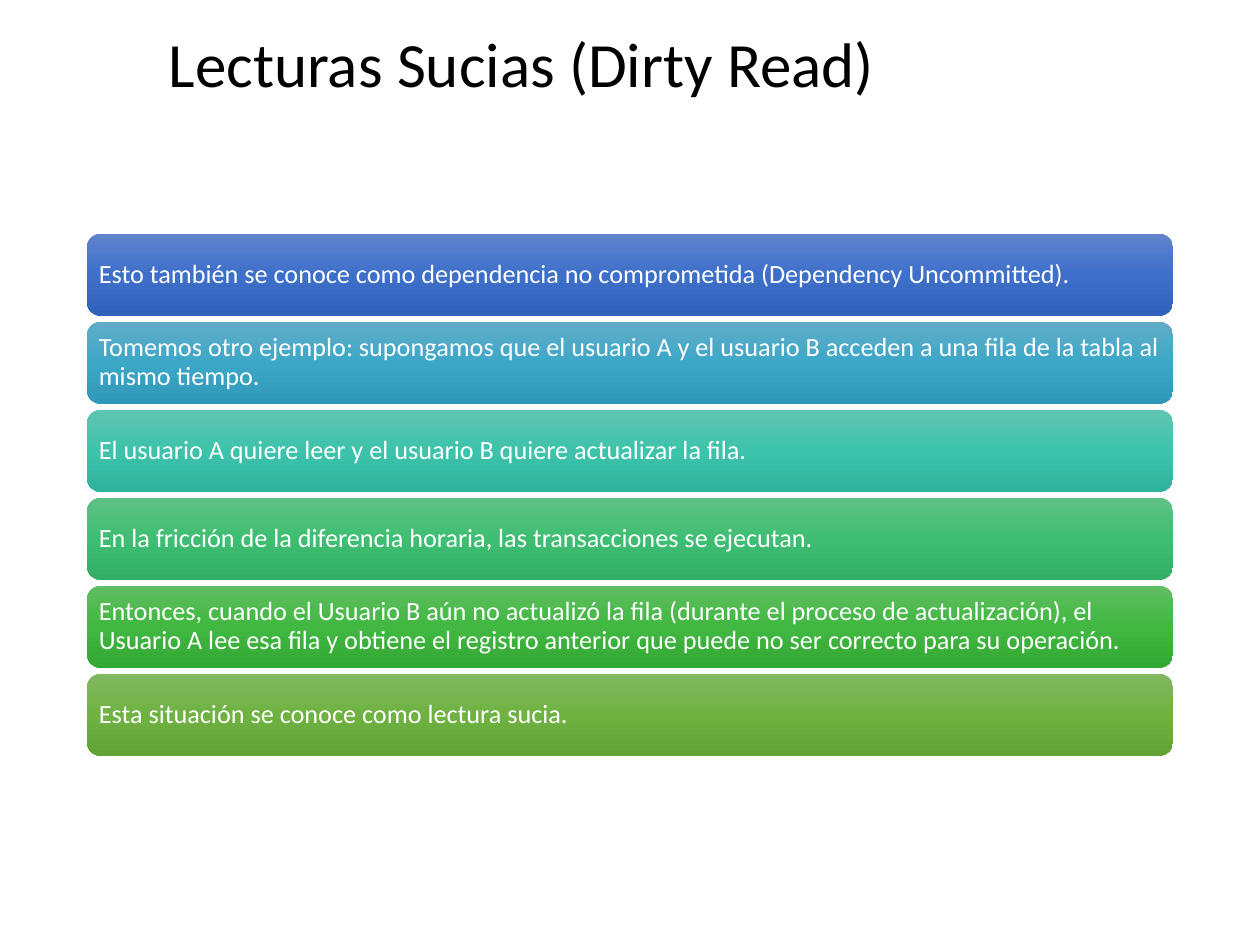
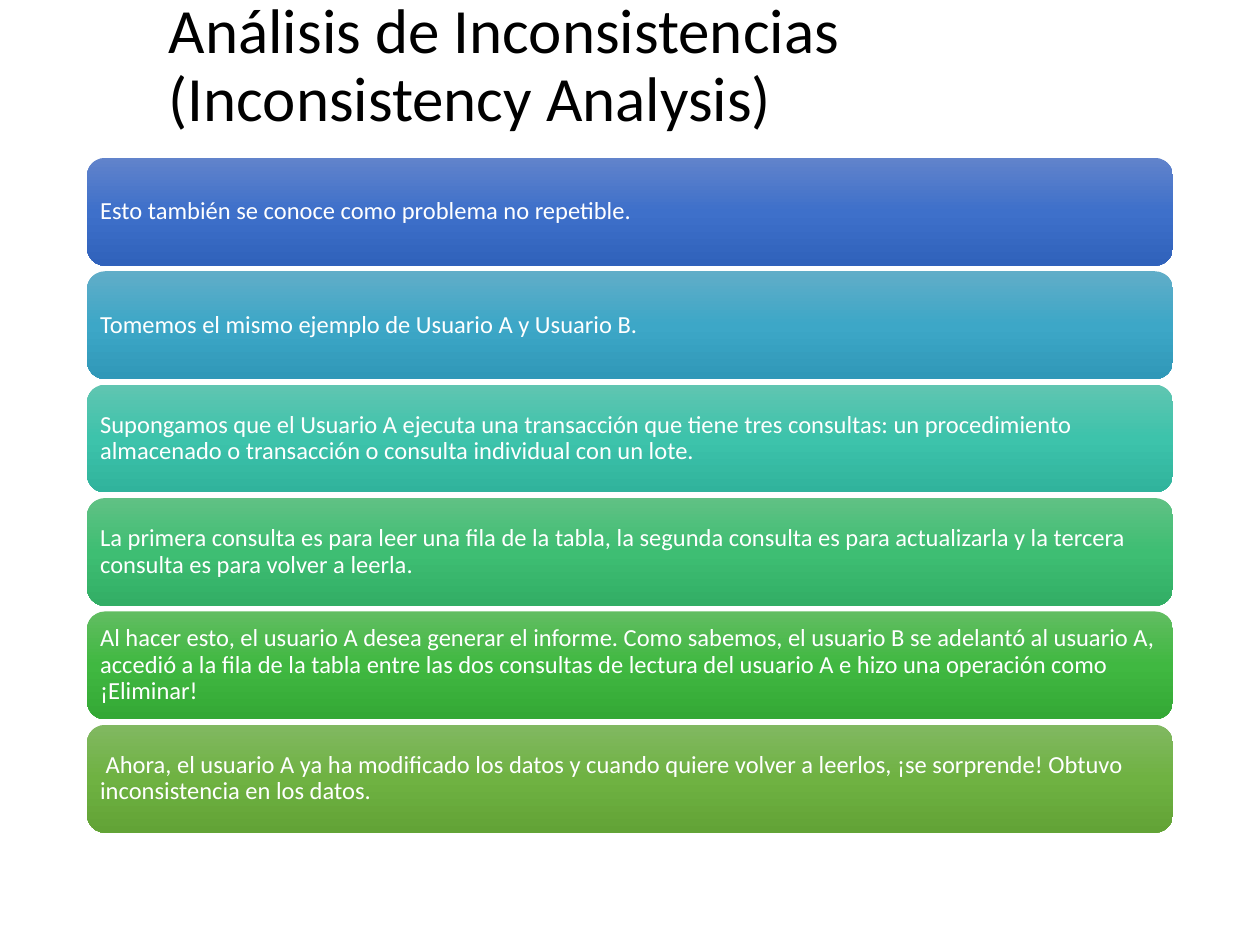
"""Build two slides on database concurrency problems, each a title over six gradient bars."""
from copy import deepcopy

from pptx import Presentation
from pptx.dml.color import RGBColor
from pptx.enum.shapes import MSO_SHAPE
from pptx.enum.text import MSO_ANCHOR, MSO_AUTO_SIZE, PP_ALIGN
from pptx.oxml.ns import qn
from pptx.util import Pt

COLORS = {"title": "000000", "bar_text": "FFFFFF"}
GRADIENTS = {
    "blue": ("6183CB", "3E70CA", "3062BB"),
    "cyan": ("61ADC8", "3DA7C7", "3098B8"),
    "turquoise": ("60C5B1", "3DC3AB", "30B39C"),
    "sea_green": ("60C184", "3EBE73", "32AE65"),
    "green": ("61BD61", "40B841", "34A835"),
    "olive": ("81B861", "6FB242", "62A336"),
}
FONT = "Calibri"
BAR_LEFT, BAR_WIDTH = 49.7, 620.6
FRAME_FORMAT = {
    "word_wrap": True,
    "auto_size": MSO_AUTO_SIZE.NONE,
    "vertical_anchor": MSO_ANCHOR.MIDDLE,
}
BAR_MARGINS = {f"margin_{side}": Pt(4.5) for side in ("left", "top", "right", "bottom")}
PARAGRAPH_FORMAT = {"alignment": PP_ALIGN.LEFT, "line_spacing": 0.9}

SLIDES = [
    {
        "title": "Lecturas Sucias (Dirty Read)",
        "top": 133.5, "height": 46.8, "pitch": 50.3, "size": 15,
        "bars": [
            "Esto también se conoce como dependencia no comprometida (Dependency Uncommitted).",
            "Tomemos otro ejemplo: supongamos que el usuario A y el usuario B acceden "
            "a una fila de la tabla al mismo tiempo.",
            "El usuario A quiere leer y el usuario B quiere actualizar la fila.",
            "En la fricción de la diferencia horaria, las transacciones se ejecutan.",
            "Entonces, cuando el Usuario B aún no actualizó la fila (durante el proceso de "
            "actualización), el Usuario A lee esa fila y obtiene el registro anterior que "
            "puede no ser correcto para su operación.",
            "Esta situación se conoce como lectura sucia.",
        ],
    },
    {
        "title": "Análisis de Inconsistencias (Inconsistency Analysis)",
        "top": 90.2, "height": 61.6, "pitch": 64.8, "size": 14,
        "bars": [
            "Esto también se conoce como problema no repetible.",
            "Tomemos el mismo ejemplo de Usuario A y Usuario B.",
            "Supongamos que el Usuario A ejecuta una transacción que tiene tres consultas: un "
            "procedimiento almacenado o transacción o consulta individual con un lote.",
            "La primera consulta es para leer una fila de la tabla, la segunda consulta es para "
            "actualizarla y la tercera consulta es para volver a leerla.",
            "Al hacer esto, el usuario A desea generar el informe. Como sabemos, el usuario B se "
            "adelantó al usuario A, accedió a la fila de la tabla entre las dos consultas de "
            "lectura del usuario A e hizo una operación como ¡Eliminar!",
            " Ahora, el usuario A ya ha modificado los datos y cuando quiere volver a leerlos, "
            "¡se sorprende! Obtuvo inconsistencia en los datos.",
        ],
    },
]


def write_text(shape, text, size, color, margins):
    frame = shape.text_frame
    frame.text = text
    paragraph = frame.paragraphs[0]
    font = paragraph.runs[0].font
    font.color.rgb = RGBColor.from_string(color)
    for target, values in (
        (frame, FRAME_FORMAT | margins),
        (paragraph, PARAGRAPH_FORMAT),
        (font, {"name": FONT, "size": Pt(size)}),
    ):
        for name, value in values.items():
            setattr(target, name, value)


def fill_gradient(shape, colors):
    shape.fill.gradient()
    shape.fill.gradient_angle = 270
    stop_list = shape._element.spPr.find(".//" + qn("a:gsLst"))
    stop_list.insert(1, deepcopy(stop_list[0]))
    for stop, position, color in zip(shape.fill.gradient_stops, (0, 0.5, 1), colors):
        stop.position = position
        stop.color.rgb = RGBColor.from_string(color)


presentation = Presentation()
presentation.slide_width, presentation.slide_height = Pt(720), Pt(540)
title_only = presentation.slide_layouts[5]

for content in SLIDES:
    slide = presentation.slides.add_slide(title_only)
    title = slide.shapes.title
    title_box = {"left": 89.3, "top": 16.6, "width": 561.6, "height": 43.9}
    for name, value in title_box.items():
        setattr(title, name, Pt(value))
    write_text(title, content["title"], 36, COLORS["title"], {})

    for row, (text, gradient) in enumerate(zip(content["bars"], GRADIENTS.values())):
        bar = slide.shapes.add_shape(
            MSO_SHAPE.ROUNDED_RECTANGLE,
            Pt(BAR_LEFT), Pt(content["top"] + row * content["pitch"]),
            Pt(BAR_WIDTH), Pt(content["height"]),
        )
        bar.shadow.inherit = False
        bar.line.fill.background()
        fill_gradient(bar, gradient)
        write_text(bar, text, content["size"], COLORS["bar_text"], BAR_MARGINS)

presentation.save("out.pptx")
